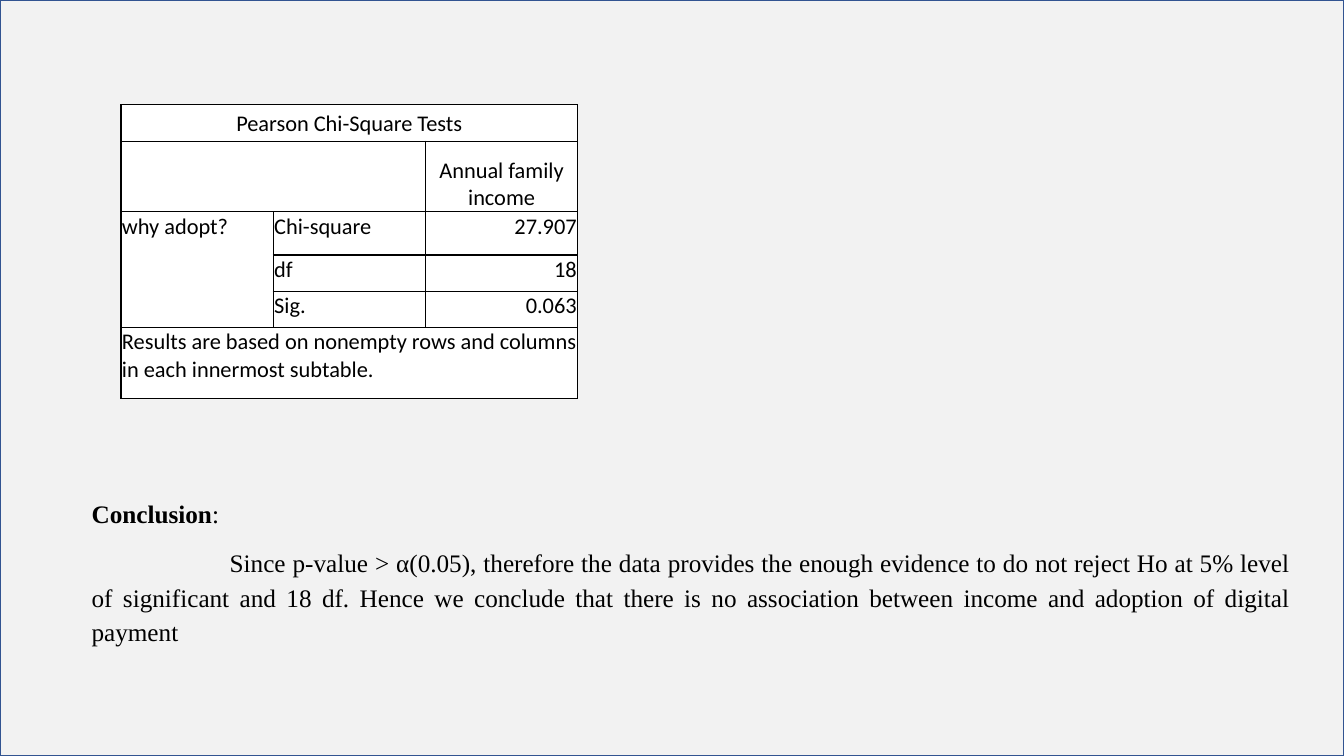
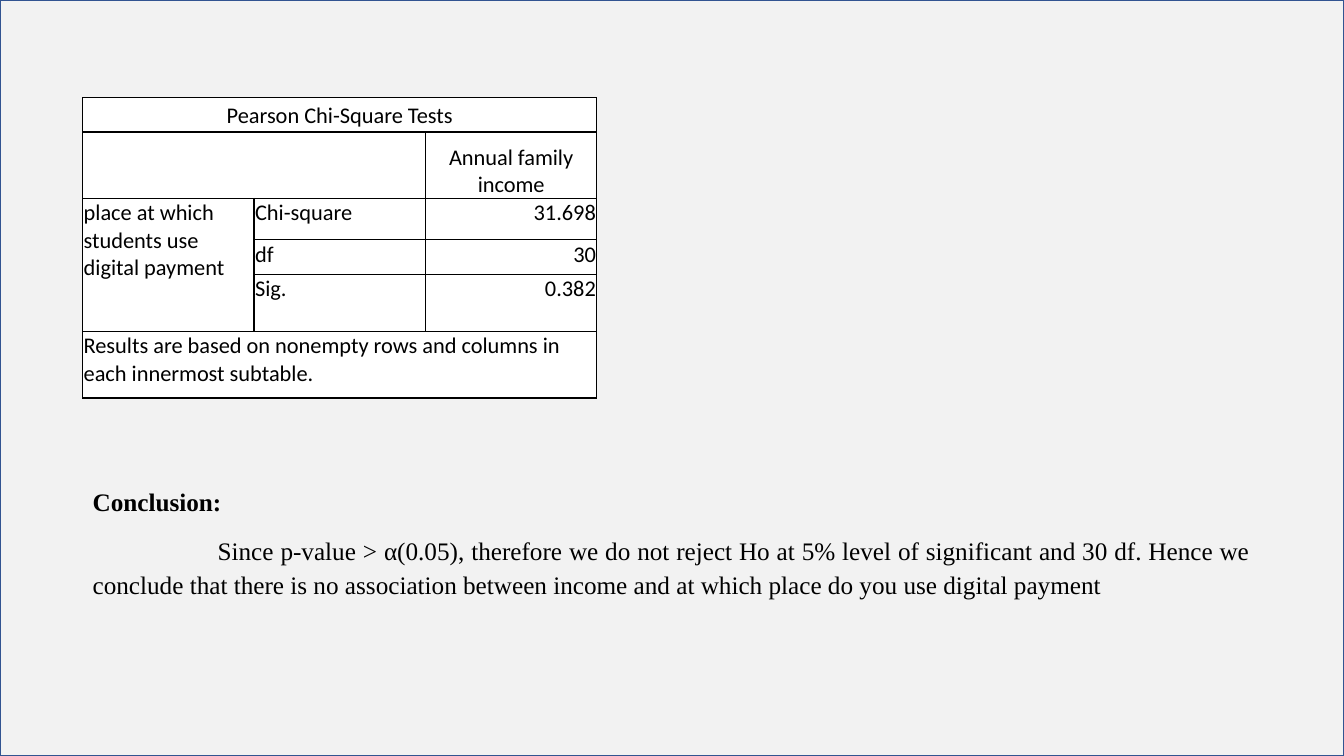
from dataclasses import dataclass

from lxml import etree
from pptx import Presentation
from pptx.dml.color import RGBColor
from pptx.enum.shapes import MSO_SHAPE
from pptx.enum.text import MSO_ANCHOR, PP_ALIGN
from pptx.oxml.ns import qn
from pptx.util import Inches, Pt

RECT = MSO_SHAPE.RECTANGLE
LEFT, CENTER, RIGHT, JUSTIFY = PP_ALIGN.LEFT, PP_ALIGN.CENTER, PP_ALIGN.RIGHT, PP_ALIGN.JUSTIFY
TOP, MIDDLE, BOTTOM = MSO_ANCHOR.TOP, MSO_ANCHOR.MIDDLE, MSO_ANCHOR.BOTTOM


@dataclass(frozen=True)
class Theme:
    panel: str = "F2F2F2"
    outline: str = "325491"
    ink: str = "000000"
    cell: str = "FFFFFF"
    body_font: str = "Times New Roman"
    table_font: str = "Calibri"
    body_size: int = 18
    table_size: int = 16
    line_width: int = 1


@dataclass(frozen=True)
class ChiSquareTable:
    left: float
    top: float
    col_width: float
    row_heights: tuple[float, ...]
    variable: str
    chi_square: str
    df: str
    sig: str


@dataclass(frozen=True)
class Conclusion:
    left: float
    top: float
    width: float
    height: float
    indent: float
    heading: tuple[tuple[str, bool], ...]
    text: str


@dataclass(frozen=True)
class CellText:
    row: int
    col: int
    text: str
    align: PP_ALIGN = LEFT
    anchor: MSO_ANCHOR = TOP


THEME = Theme()
SLIDE_W, SLIDE_H = Inches(13.33), Inches(7.5)
COLUMNS = 3
# First and last cell of each merged area, as (row, column)
MERGES = (((0, 0), (0, 2)), ((1, 0), (1, 1)), ((2, 0), (4, 0)), ((5, 0), (5, 2)))

SLIDES = (
    (
        ChiSquareTable(1.2, 1.04, 1.51, (0.36, 0.7, 0.43, 0.36, 0.36, 0.7),
                       "why adopt?", "27.907", "18", "0.063"),
        Conclusion(0.81, 4.85, 12.09, 1.61, 1.37, (("Conclusion", True), (":", False)),
                   "Since p-value > α(0.05), therefore the data provides the enough evidence "
                   "to do not reject Ho at 5% level of significant and 18 df. Hence we conclude "
                   "that there is no association between income and adoption of digital payment"),
    ),
    (
        ChiSquareTable(0.82, 0.97, 1.7, (0.34, 0.66, 0.41, 0.34, 0.57, 0.66),
                       "place at which students use digital payment", "31.698", "30", "0.382"),
        Conclusion(0.82, 4.73, 11.68, 1.26, 1.24, (("Conclusion:", True),),
                   "Since p-value > α(0.05), therefore we do not reject Ho at 5% level of "
                   "significant and 30 df. Hence we conclude that there is no association "
                   "between income and at which place do you use digital payment"),
    ),
)


def rgb(color: str) -> RGBColor:
    return RGBColor.from_string(color)


def style_paragraph(p, font: str, size: int, align: PP_ALIGN) -> None:
    p.alignment = align
    p.font.name = font
    p.font.size = Pt(size)
    p.font.color.rgb = rgb(THEME.ink)


def add_panel(s) -> None:
    """Cover the slide with the outlined grey background."""
    sp = s.shapes.add_shape(RECT, 0, 0, SLIDE_W, SLIDE_H)
    sp.shadow.inherit = False
    sp.fill.solid()
    sp.fill.fore_color.rgb = rgb(THEME.panel)
    sp.line.color.rgb = rgb(THEME.outline)
    sp.line.width = Pt(THEME.line_width)


def add_borders(cell) -> None:
    tc_pr = cell._tc.get_or_add_tcPr()
    for side in ("a:lnL", "a:lnR", "a:lnT", "a:lnB"):
        ln = etree.SubElement(tc_pr, qn(side), w=str(Pt(THEME.line_width)))
        fill = etree.SubElement(ln, qn("a:solidFill"))
        etree.SubElement(fill, qn("a:srgbClr"), val=THEME.ink)


def style_cell(cell) -> None:
    add_borders(cell)
    cell.fill.solid()
    cell.fill.fore_color.rgb = rgb(THEME.cell)
    cell.margin_left = cell.margin_right = cell.margin_top = Inches(0.01)
    cell.margin_bottom = 0
    style_paragraph(cell.text_frame.paragraphs[0], THEME.table_font, THEME.table_size, LEFT)


def table_texts(data: ChiSquareTable) -> list[CellText]:
    texts = [
        CellText(0, 0, "Pearson Chi-Square Tests", CENTER, MIDDLE),
        CellText(1, 2, "Annual family income", CENTER, BOTTOM),
        CellText(2, 0, data.variable),
        CellText(5, 0, "Results are based on nonempty rows and columns in each innermost subtable."),
    ]
    statistics = (("Chi-square", data.chi_square), ("df", data.df), ("Sig.", data.sig))
    for row, (label, value) in enumerate(statistics, start=2):
        texts += [CellText(row, 1, label), CellText(row, 2, value, RIGHT)]
    return texts


def add_chi_square_table(s, data: ChiSquareTable) -> None:
    table = s.shapes.add_table(
        len(data.row_heights), COLUMNS, Inches(data.left), Inches(data.top),
        Inches(COLUMNS * data.col_width), Inches(sum(data.row_heights))).table
    table.first_row = table.horz_banding = False
    for column in table.columns:
        column.width = Inches(data.col_width)
    for row, height in zip(table.rows, data.row_heights):
        row.height = Inches(height)
    for cell in table.iter_cells():
        style_cell(cell)
    for first, last in MERGES:
        table.cell(*first).merge(table.cell(*last))
    for item in table_texts(data):
        cell = table.cell(item.row, item.col)
        cell.vertical_anchor = item.anchor
        p = cell.text_frame.paragraphs[0]
        p.alignment = item.align
        p.add_run().text = item.text


def add_conclusion(s, data: Conclusion) -> None:
    tf = s.shapes.add_textbox(Inches(data.left), Inches(data.top),
                              Inches(data.width), Inches(data.height)).text_frame
    tf.word_wrap = True
    heading, body = tf.paragraphs[0], tf.add_paragraph()
    for p, align in ((heading, LEFT), (body, JUSTIFY)):
        style_paragraph(p, THEME.body_font, THEME.body_size, align)
        p.line_spacing = 1.15
        p.space_after = Pt(10)
    for text, bold in data.heading:
        r = heading.add_run()
        r.text = text
        r.font.bold = bold
    body._p.get_or_add_pPr().set("indent", str(Inches(data.indent)))
    body.add_run().text = data.text


def main() -> None:
    prs = Presentation()
    prs.slide_width, prs.slide_height = SLIDE_W, SLIDE_H
    blank = prs.slide_layouts[6]
    for table, conclusion in SLIDES:
        s = prs.slides.add_slide(blank)
        add_panel(s)
        add_conclusion(s, conclusion)
        add_chi_square_table(s, table)
    prs.save("out.pptx")


if __name__ == "__main__":
    main()
